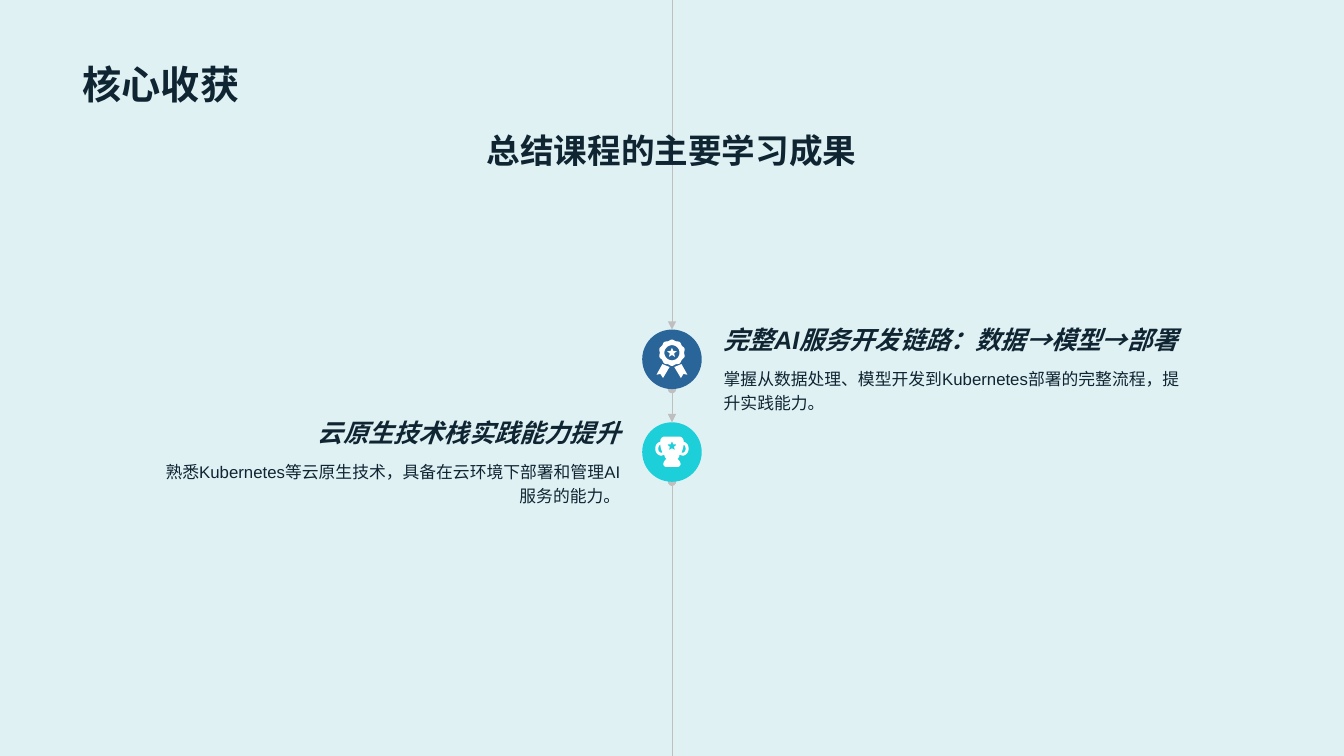
from dataclasses import dataclass
from math import cos, pi, sin

from lxml import etree
from pptx import Presentation
from pptx.dml.color import RGBColor
from pptx.enum.lang import MSO_LANGUAGE_ID
from pptx.enum.shapes import MSO_CONNECTOR, MSO_SHAPE
from pptx.enum.text import MSO_ANCHOR, MSO_AUTO_SIZE, PP_ALIGN
from pptx.oxml.ns import qn
from pptx.util import Inches, Pt

LEFT, CENTER, RIGHT = PP_ALIGN.LEFT, PP_ALIGN.CENTER, PP_ALIGN.RIGHT
TOP, BOTTOM = MSO_ANCHOR.TOP, MSO_ANCHOR.BOTTOM
CHINESE = MSO_LANGUAGE_ID.SIMPLIFIED_CHINESE
STRAIGHT, OVAL = MSO_CONNECTOR.STRAIGHT, MSO_SHAPE.OVAL
NO_FIT = MSO_AUTO_SIZE.NONE


@dataclass(frozen=True)
class Theme:
    font: str = "Arial"
    background: str = "E0F1F4"
    ink: str = "0F2532"
    rule: str = "BFBFBF"
    icon: str = "FFFFFF"
    blue: str = "2A659A"
    cyan: str = "1DCFD8"
    title: int = 28
    subtitle: int = 24
    heading: int = 18
    body: int = 12
    rule_width: float = 0.25


# Square grid: 100 columns across the slide, 56.25 rows down
WIDTH, HEIGHT, COLS = 13.33, 7.5, 100
ROWS = HEIGHT / WIDTH * COLS
AXIS = COLS / 2


def cells(n):
    return Inches(n * WIDTH / COLS)


# Icon outlines, in hundredths of the node's diameter from its centre
def ring(radius, cy, lobes=0, depth=0, steps=80):
    pts = []
    for i in range(steps):
        a = 2 * pi * i / steps
        r = radius + depth * cos(lobes * a)
        pts.append((r * sin(a), cy - r * cos(a)))
    return pts


def star(cy, outer=8.5, inner=3.8):
    return [((inner if i % 2 else outer) * sin(i * pi / 5),
             cy - (inner if i % 2 else outer) * cos(i * pi / 5))
            for i in range(10)]


def outline(start, *steps):
    """Flatten line steps (x, y) and cubic steps (six numbers) to points."""
    pts = [start]
    for step in steps:
        if len(step) == 2:
            pts.append(step)
            continue
        x0, y0 = pts[-1]
        x1, y1, x2, y2, x3, y3 = step
        for i in range(1, 9):
            t = i / 8
            u = 1 - t
            a, b, c, d = u**3, 3 * u * u * t, 3 * u * t * t, t**3
            pts.append((a * x0 + b * x1 + c * x2 + d * x3,
                        a * y0 + b * y1 + c * y2 + d * y3))
    return pts


def shift(pts, dy):
    return [(x, y + dy) for x, y in pts]


def mirror(pts):
    return [(-x, y) for x, y in reversed(pts)]


def badge():
    cy = -11
    ribbon = shift([(16, 19), (26, 37), (19.5, 35.5), (15, 42.5), (4, 24), (9, 22)], cy)
    return [ring(21.3, cy, 10, 0.9), ring(12.7, cy), star(cy), ribbon, mirror(ribbon)]


def trophy():
    top = -26
    half = shift(outline(
        (0, 0), (12.7, 0), (16, 0, 19.5, 3.4, 19.5, 6.8), (19.5, 8.5),
        (24.5, 10, 28, 13.5, 28, 20.5), (28, 27, 23, 32, 18, 32), (12.7, 30.5),
        (12.7, 34, 11, 35.5, 9.5, 37.5), (11, 39, 14.5, 42.5, 14.5, 46),
        (14.5, 49.5, 11, 51, 9.5, 51), (0, 51)), top)
    handle = shift(outline(
        (18, 27), (21, 27, 23, 24, 23, 20.5), (23, 17, 21, 13.5, 19.5, 13.5),
        (19.5, 17, 18, 22, 16, 27)), top)
    return [half + mirror(half)[1:-1], handle, mirror(handle), star(top + 16)]


class Deck:
    def __init__(self, theme):
        self.theme = theme
        self.prs = Presentation()
        self.prs.slide_width, self.prs.slide_height = Inches(WIDTH), Inches(HEIGHT)
        self.slide = self.prs.slides.add_slide(self.prs.slide_layouts[5])
        fill = self.slide.background.fill
        fill.solid()
        fill.fore_color.rgb = RGBColor.from_string(theme.background)

    def set_text(self, sp, text, size, align, anchor, bold, italic, spacing):
        tf = sp.text_frame
        tf.word_wrap = True
        tf.auto_size = NO_FIT
        tf.vertical_anchor = anchor
        p = tf.paragraphs[0]
        p.alignment, p.line_spacing = align, spacing
        r = p.add_run()
        r.text = text
        r.font.name, r.font.size = self.theme.font, Pt(size)
        r.font.bold, r.font.italic = bold, italic
        r.font.language_id = CHINESE
        r.font.color.rgb = RGBColor.from_string(self.theme.ink)

    def title(self, text, x, y, w, h):
        sp = self.slide.shapes.title
        sp.left, sp.top, sp.width, sp.height = map(cells, (x, y, w, h))
        self.set_text(sp, text, self.theme.title, LEFT, BOTTOM, True, False, 1.0)

    def text(self, text, x, y, w, h, size, align=LEFT, anchor=TOP,
             bold=False, italic=False, spacing=1.0):
        sp = self.slide.shapes.add_textbox(*map(cells, (x, y, w, h)))
        self.set_text(sp, text, size, align, anchor, bold, italic, spacing)

    def rule(self, y1, y2, head=None, tail=None):
        ends = map(cells, (AXIS, y1, AXIS, y2))
        line = self.slide.shapes.add_connector(STRAIGHT, *ends)
        line.line.color.rgb = RGBColor.from_string(self.theme.rule)
        line.line.width = Pt(self.theme.rule_width)
        sp_pr = line._element.spPr
        ln = sp_pr.find(qn("a:ln"))
        for tag, kind in (("a:headEnd", head), ("a:tailEnd", tail)):
            if kind:
                etree.SubElement(ln, qn(tag), type=kind)
        etree.SubElement(sp_pr, qn("a:effectLst"))

    def paint(self, sp, color):
        sp.shadow.inherit = False
        sp.fill.solid()
        sp.fill.fore_color.rgb = RGBColor.from_string(color)
        sp.line.fill.background()

    def node(self, y, d, color, contours):
        box = map(cells, (AXIS - d / 2, y, d, d))
        self.paint(self.slide.shapes.add_shape(OVAL, *box), color)
        placed = [[(cells(AXIS + px * d / 100), cells(y + d / 2 + py * d / 100))
                   for px, py in pts] for pts in contours]
        fb = self.slide.shapes.build_freeform(*placed[0][0])
        for i, pts in enumerate(placed):
            if i:
                fb.move_to(*pts[0])
            fb.add_line_segments(pts[1:], close=True)
        self.paint(fb.convert_to_shape(), self.theme.icon)


def main():
    theme = Theme()
    deck = Deck(theme)
    margin, full = 5.4, 89.12
    node_top, pitch, diameter = 24.53, 6.9, 4.43
    gap, text_width = 3.11, 36.23
    outcomes = [
        ("完整AI服务开发链路：数据→模型→部署",
         "掌握从数据处理、模型开发到Kubernetes部署的完整流程，提升实践能力。",
         theme.blue, badge(), LEFT),
        ("云原生技术栈实践能力提升",
         "熟悉Kubernetes等云原生技术，具备在云环境下部署和管理AI服务的能力。",
         theme.cyan, trophy(), RIGHT),
    ]
    tops = [node_top + i * pitch for i in range(len(outcomes))]

    # Title
    deck.title("核心收获", margin, 1.05, full, 7.35)

    # Central axis between the nodes
    starts = [0] + [top + diameter for top in tops]
    for i, (y1, y2) in enumerate(zip(starts, tops + [ROWS])):
        deck.rule(y1, y2, head="oval" if i else None,
                  tail="triangle" if i < len(tops) else None)

    # Subtitle
    deck.text("总结课程的主要学习成果", margin, 9.3, full, 3.75,
              theme.subtitle, CENTER, bold=True)

    # Outcomes, on alternate sides of the axis
    for top, (heading, body, color, icon, align) in zip(tops, outcomes):
        x = AXIS + gap if align == LEFT else AXIS - gap - text_width
        deck.text(heading, x, top - 4.35, text_width, 6.6, theme.heading,
                  align, BOTTOM, bold=True, italic=True)
        deck.text(body, x, top + 2.25, text_width, 13.28, theme.body,
                  align, spacing=1.2)
        deck.node(top, diameter, color, icon)

    deck.prs.save("out.pptx")


if __name__ == "__main__":
    main()
